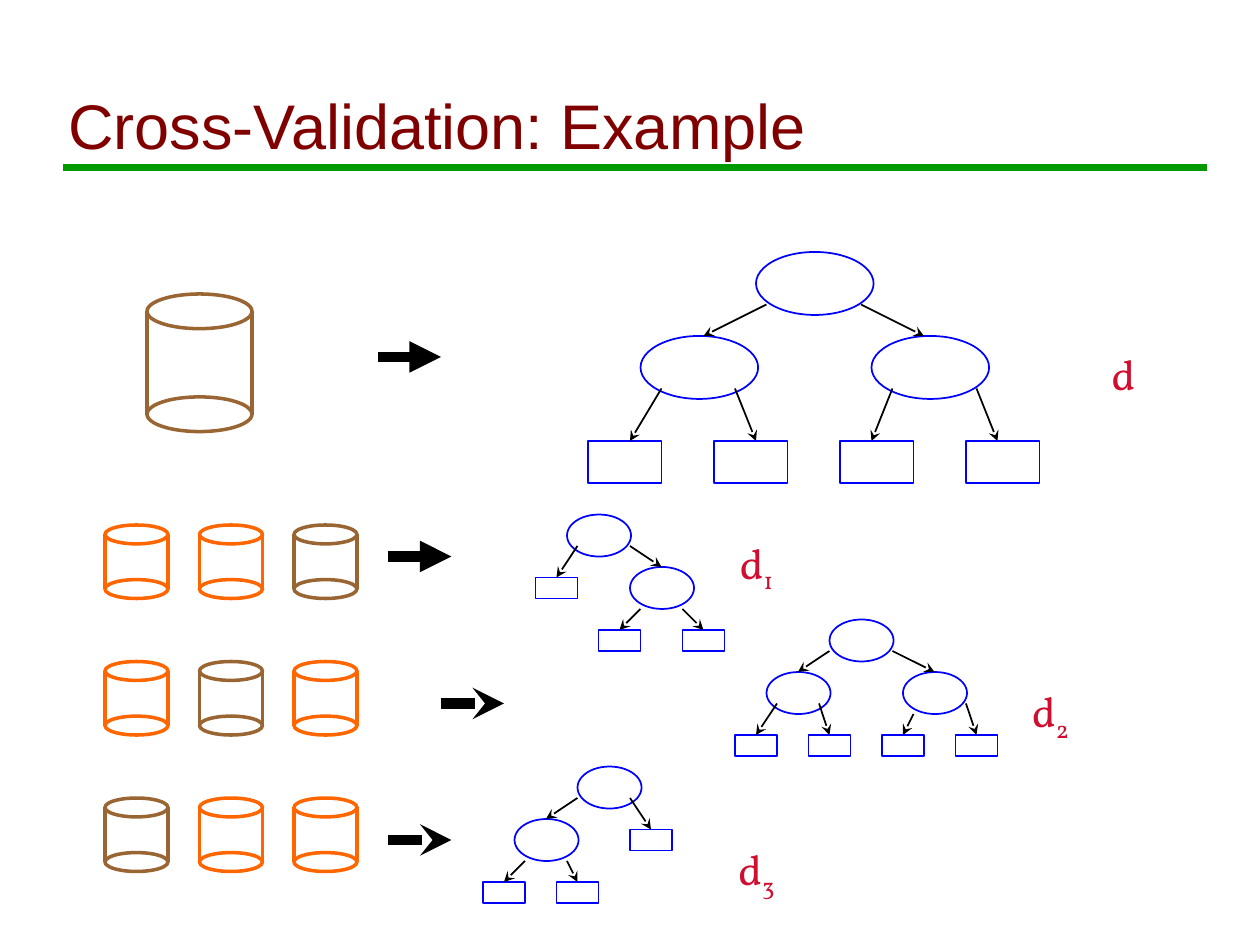
from dataclasses import dataclass

from lxml import etree
from pptx import Presentation
from pptx.dml.color import RGBColor
from pptx.enum.shapes import MSO_CONNECTOR, MSO_SHAPE
from pptx.enum.text import MSO_ANCHOR, MSO_AUTO_SIZE, PP_ALIGN
from pptx.oxml.ns import qn
from pptx.util import Pt

PX = 7620
STRAIGHT = MSO_CONNECTOR.STRAIGHT
OVAL, RECTANGLE = MSO_SHAPE.OVAL, MSO_SHAPE.RECTANGLE
BOTTOM = MSO_ANCHOR.BOTTOM
FIT_SHAPE = MSO_AUTO_SIZE.SHAPE_TO_FIT_TEXT
LEFT, CENTER = PP_ALIGN.LEFT, PP_ALIGN.CENTER


@dataclass(frozen=True)
class Theme:
    """Colours, fonts and point sizes of the slide."""
    title: str = "800000"
    rule: str = "009900"
    training: str = "FF6600"
    data: str = "996633"
    node: str = "0000FF"
    ink: str = "000000"
    label: str = "CF0E30"
    title_font: str = "Arial"
    label_font: str = "Vollkorn"
    title_size: int = 36
    label_size: int = 24
    thin: int = 1
    medium: int = 2
    rule_width: int = 4
    thick: int = 6


THEME = Theme()

BIG = {"oval": (112, 60), "leaf": (70, 40)}
SMALL = {"oval": (61, 40), "leaf": (40, 20)}

TREES = [
    {"origin": (560, 240), "sizes": BIG,
     "ovals": [(160, 0), (50, 80), (270, 80)],
     "leaves": [(x, 180) for x in range(0, 480, 120)],
     "edges": [(170, 50, 110, 80), (260, 50, 320, 80), (70, 130, 40, 180),
               (140, 130, 160, 180), (290, 130, 270, 180), (370, 130, 390, 180)]},
    {"origin": (510, 490), "sizes": SMALL,
     "ovals": [(30, 0), (90, 50)],
     "leaves": [(0, 60), (60, 110), (140, 110)],
     "edges": [(40, 30, 20, 60), (90, 30, 120, 50),
               (100, 90, 80, 110), (140, 90, 160, 110)]},
    {"origin": (700, 590), "sizes": SMALL,
     "ovals": [(90, 0), (30, 50), (160, 50)],
     "leaves": [(x, 110) for x in range(0, 280, 70)],
     "edges": [(90, 30, 60, 50), (150, 30, 190, 50), (40, 80, 20, 110),
               (80, 80, 90, 110), (170, 90, 160, 110), (220, 80, 230, 110)]},
    {"origin": (460, 730), "sizes": SMALL,
     "ovals": [(90, 0), (30, 50)],
     "leaves": [(0, 110), (70, 110), (140, 60)],
     "edges": [(90, 30, 60, 50), (140, 30, 160, 60),
               (40, 90, 20, 110), (80, 90, 90, 110)]},
]

ARROWS = [(360, 340, "triangle"), (370, 530, "triangle"),
          (420, 670, "stealth"), (370, 800, "stealth")]

LABELS = [((1046, 326, 48, 60), ""), ((690, 506, 61, 67), "1"),
          ((970, 647, 61, 67), "2"), ((690, 797, 61, 67), "3")]


def px(*lengths):
    """Turn px lengths into EMU."""
    return [length * PX for length in lengths]


def apply(target, values):
    """Set each attribute of the target from a dict."""
    for name, value in values.items():
        setattr(target, name, value)


def style_font(font, name, size, color):
    """Give a font its face, size and colour."""
    apply(font, {"name": name, "size": Pt(size)})
    font.color.rgb = RGBColor.from_string(color)


def add_outline(shapes, kind, box, color, width):
    """Add an unfilled shape with a coloured outline."""
    shape = shapes.add_shape(kind, *px(*box))
    shape.shadow.inherit = False
    shape.fill.background()
    shape.line.color.rgb = RGBColor.from_string(color)
    shape.line.width = Pt(width)
    return shape


def add_line(shapes, ends, color, width, head=None):
    """Add a straight line with an optional arrowhead at its end."""
    line = shapes.add_connector(STRAIGHT, *px(*ends))
    line.line.color.rgb = RGBColor.from_string(color)
    line.line.width = Pt(width)
    properties = line.element.spPr
    if head:
        etree.SubElement(properties.find(qn("a:ln")), qn("a:tailEnd"), type=head)
    etree.SubElement(properties, qn("a:effectLst"))
    return line


def add_title(page, box):
    """Place the title and the rule beneath it."""
    left, top, width, height = box
    bottom = top + height
    add_line(page.shapes, (left + 7, bottom, left + 1097, bottom),
             THEME.rule, THEME.rule_width)
    title = page.shapes.title
    apply(title, dict(zip(("left", "top", "width", "height"), px(*box))))
    apply(title.text_frame, {"text": "Cross-Validation: Example",
                             "vertical_anchor": BOTTOM, "word_wrap": True})
    para = title.text_frame.paragraphs[0]
    para.alignment = LEFT
    style_font(para.runs[0].font, THEME.title_font, THEME.title_size, THEME.title)


def add_cylinder(page, box, cap, color):
    """Draw a grouped data cylinder from two caps and two sides."""
    left, top, width, height = box
    shapes = page.shapes.add_group_shape().shapes
    for cap_top in (top, top + height - cap):
        add_outline(shapes, OVAL, (left, cap_top, width, cap), color, THEME.medium)
    for side in (left, left + width):
        add_line(shapes, (side, top + cap // 2, side, top + height - cap // 2),
                 color, THEME.medium)


def add_folds(page, box):
    """Draw three rows of folds, holding out one fold in each row."""
    left, top, width, height = box
    for row in range(3):
        for column in range(3):
            color = THEME.data if row + column == 2 else THEME.training
            add_cylinder(page, (left + 90 * column, top + 130 * row, width, height),
                         18, color)


def add_tree(page, origin, sizes, ovals, leaves, edges):
    """Draw a decision tree, joining the edges that meet a leaf's top middle."""
    left, top = origin
    leaf_tops = {}
    for x, y in ovals:
        add_outline(page.shapes, OVAL, (left + x, top + y, *sizes["oval"]),
                    THEME.node, THEME.thin)
    for x, y in leaves:
        leaf = add_outline(page.shapes, RECTANGLE,
                           (left + x, top + y, *sizes["leaf"]), THEME.node, THEME.thin)
        leaf_tops[x + sizes["leaf"][0] // 2, y] = leaf
    for x1, y1, x2, y2 in edges:
        edge = add_line(page.shapes, (left + x1, top + y1, left + x2, top + y2),
                        THEME.ink, THEME.thin, "stealth")
        if (x2, y2) in leaf_tops:
            edge.end_connect(leaf_tops[x2, y2], 0)


def add_label(page, box, index):
    """Name a tree with d and a subscript index."""
    frame = page.shapes.add_textbox(*px(*box)).text_frame
    apply(frame, {"word_wrap": False, "auto_size": FIT_SHAPE})
    para = frame.paragraphs[0]
    para.alignment = CENTER
    for text in filter(None, ("d", index)):
        span = para.add_run()
        span.text = text
        style_font(span.font, THEME.label_font, THEME.label_size, THEME.label)
        if text == index:
            span.font.element.set("baseline", "-25000") if hasattr(
                span.font, "element") else span._r.get_or_add_rPr().set("baseline", "-25000")


def main():
    """Build the slide and save the deck."""
    deck = Presentation()
    apply(deck, dict(zip(("slide_width", "slide_height"), px(1200, 900))))
    page = deck.slides.add_slide(deck.slide_layouts.get_by_name("Title Only"))
    add_title(page, (53, 30, 1076, 130))
    add_cylinder(page, (140, 280, 100, 131), 33, THEME.data)
    add_folds(page, (100, 500, 60, 70))
    for tree in TREES:
        add_tree(page, **tree)
    for x, y, head in ARROWS:
        add_line(page.shapes, (x, y, x + 60, y), THEME.ink, THEME.thick, head)
    for box, index in LABELS:
        add_label(page, box, index)
    deck.save("out.pptx")


if __name__ == "__main__":
    main()
